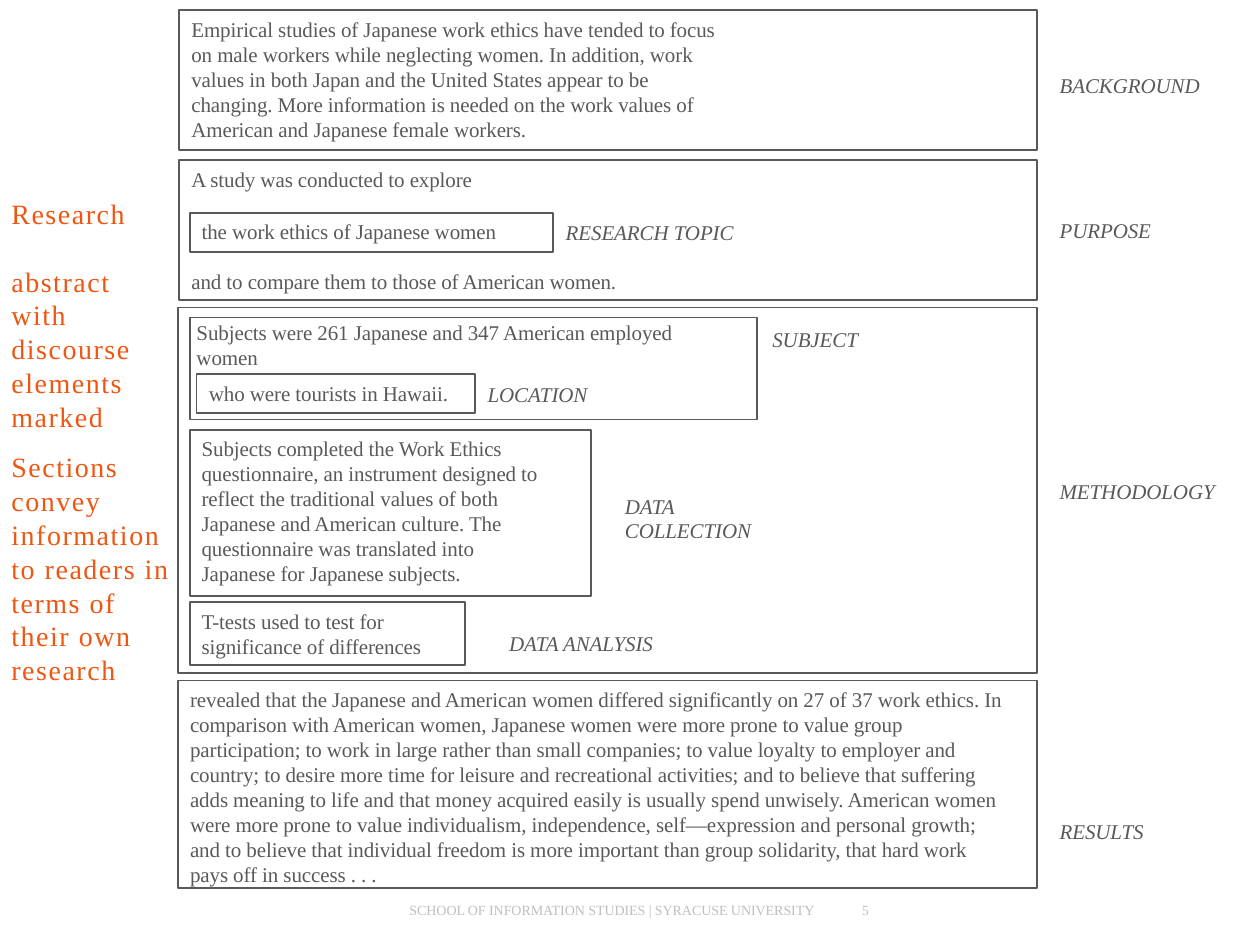
from pptx import Presentation
from pptx.dml.color import RGBColor
from pptx.enum.shapes import MSO_SHAPE
from pptx.enum.text import MSO_ANCHOR, MSO_AUTO_SIZE, PP_ALIGN
from pptx.util import Inches, Pt

RECTANGLE = MSO_SHAPE.RECTANGLE
TOP = MSO_ANCHOR.TOP
NO_AUTOFIT = MSO_AUTO_SIZE.NONE
LEFT = PP_ALIGN.LEFT

FONT = "Times New Roman"
ORANGE = RGBColor(0xEE, 0x56, 0x12)
GRAY = RGBColor(0x59, 0x59, 0x59)
LIGHT_GRAY = RGBColor(0xBF, 0xBF, 0xBF)

TITLE = [
    ["Research"],
    ["abstract", "with", "discourse", "elements", "marked"],
    ["Sections", "convey", "information", "to readers in", "terms of", "their own", "research"],
]
TITLE_GAPS = [0, 19.2, 9.7]

# left, top, width, height, left inset, top inset, gap between paragraphs, paragraphs
BOXES = [
    (1.42, 0.08, 6.81, 1.11, 0.1, 0.05, 0, [[
        "Empirical studies of Japanese work ethics have tended to focus",
        "on male workers while neglecting women. In addition, work",
        "values in both Japan and the United States appear to be",
        "changing. More information is needed on the work values of",
        "American and Japanese female workers."]]),
    (1.42, 1.27, 6.81, 1.11, 0.1, 0.05, 44, [
        ["A study was conducted to explore"],
        ["and to compare them to those of American women."]]),
    (1.51, 1.69, 2.88, 0.31, 0.09, 0.05, 0, [["the work ethics of Japanese women"]]),
    (1.41, 2.44, 6.82, 2.9, 0, 0, 0, []),
    (1.51, 2.52, 4.5, 0.81, 0.05, 0.02, 0, [[
        "Subjects were 261 Japanese and 347 American employed", "women"]]),
    (1.56, 2.97, 2.21, 0.31, 0.1, 0.05, 0, [["who were tourists in Hawaii."]]),
    (1.51, 3.41, 3.18, 1.32, 0.09, 0.05, 0, [[
        "Subjects completed the Work Ethics",
        "questionnaire, an instrument designed to",
        "reflect the traditional values of both",
        "Japanese and American culture. The",
        "questionnaire was translated into",
        "Japanese for Japanese subjects."]]),
    (1.51, 4.78, 2.18, 0.5, 0.09, 0.05, 0, [[
        "T-tests used to test for", "significance of differences"]]),
    (1.41, 5.4, 6.82, 1.65, 0.1, 0.05, 0, [[
        "revealed that the Japanese and American women differed significantly on 27 of 37 work ethics. In",
        "comparison with American women, Japanese women were more prone to value group",
        "participation; to work in large rather than small companies; to value loyalty to employer and",
        "country; to desire more time for leisure and recreational activities; and to believe that suffering",
        "adds meaning to life and that money acquired easily is usually spend unwisely. American women",
        "were more prone to value individualism, independence, self—expression and personal growth;",
        "and to believe that individual freedom is more important than group solidarity, that hard work",
        "pays off in success . . ."]]),
]

SECTION_LEFT = 8.41
LABELS = [
    (SECTION_LEFT, 0.58, 1.3, ["BACKGROUND"]),
    (SECTION_LEFT, 1.73, 1.3, ["PURPOSE"]),
    (SECTION_LEFT, 3.8, 1.4, ["METHODOLOGY"]),
    (SECTION_LEFT, 6.5, 1.3, ["RESULTS"]),
    (4.49, 1.75, 1.5, ["RESEARCH TOPIC"]),
    (6.13, 2.6, 1, ["SUBJECT"]),
    (3.87, 3.03, 1, ["LOCATION"]),
    (4.96, 3.92, 1.3, ["DATA", "COLLECTION"]),
    (4.04, 5.01, 1.4, ["DATA ANALYSIS"]),
]

FOOTERS = [
    (3.25, 3.4, "SCHOOL OF INFORMATION STUDIES | SYRACUSE UNIVERSITY"),
    (6.84, 0.14, "5"),
]


def write(shape, paragraphs, size, color, line_height, gaps,
          spacing=-0.05, italic=False, insets=(0, 0)):
    frame = shape.text_frame
    frame.word_wrap = True
    frame.auto_size = NO_AUTOFIT
    frame.vertical_anchor = TOP
    frame.margin_left, frame.margin_top = map(Inches, insets)
    frame.margin_right = frame.margin_bottom = 0
    for index, lines in enumerate(paragraphs):
        paragraph = frame.add_paragraph() if index else frame.paragraphs[0]
        paragraph.alignment = LEFT
        paragraph.line_spacing = Pt(line_height)
        paragraph.space_before = Pt(gaps[index])
        for number, line in enumerate(lines):
            if number:
                paragraph.add_line_break()
            run = paragraph.add_run()
            run.text = line
            run.font.name = FONT
            run.font.size = Pt(size)
            run.font.italic = italic
            run.font.color.rgb = color
            run._r.get_or_add_rPr().set("spc", str(round(spacing * 100)))


def add_text(slide, left, top, width, height, lines, size, color, line_height, italic=False):
    box = slide.shapes.add_textbox(Inches(left), Inches(top), Inches(width), Inches(height))
    write(box, [lines], size, color, line_height, [0], italic=italic)


def add_box(slide, left, top, width, height, inset_left, inset_top, gap, paragraphs):
    box = slide.shapes.add_shape(
        RECTANGLE, Inches(left), Inches(top), Inches(width), Inches(height))
    box.shadow.inherit = False
    box.fill.background()
    box.line.color.rgb = GRAY
    box.line.width = Pt(1)
    write(box, paragraphs, 12, GRAY, 14.3, [0, gap], insets=(inset_left, inset_top))


def main():
    presentation = Presentation()
    presentation.slide_width = Inches(10)
    presentation.slide_height = Inches(7.5)
    slide = presentation.slides.add_slide(presentation.slide_layouts[5])

    title = slide.shapes.title
    title.left, title.top = Inches(0.09), Inches(1.56)
    title.width, title.height = Inches(1.31), Inches(3.95)
    write(title, TITLE, 16, ORANGE, 19.3, TITLE_GAPS, spacing=0.9)

    for box in BOXES:
        add_box(slide, *box)
    for left, top, width, lines in LABELS:
        add_text(slide, left, top, width, 0.2 * len(lines), lines, 12, GRAY, 14, italic=True)
    for left, width, text in FOOTERS:
        add_text(slide, left, 7.16, width, 0.15, [text], 8, LIGHT_GRAY, 9.2)

    presentation.save("out.pptx")


if __name__ == "__main__":
    main()
